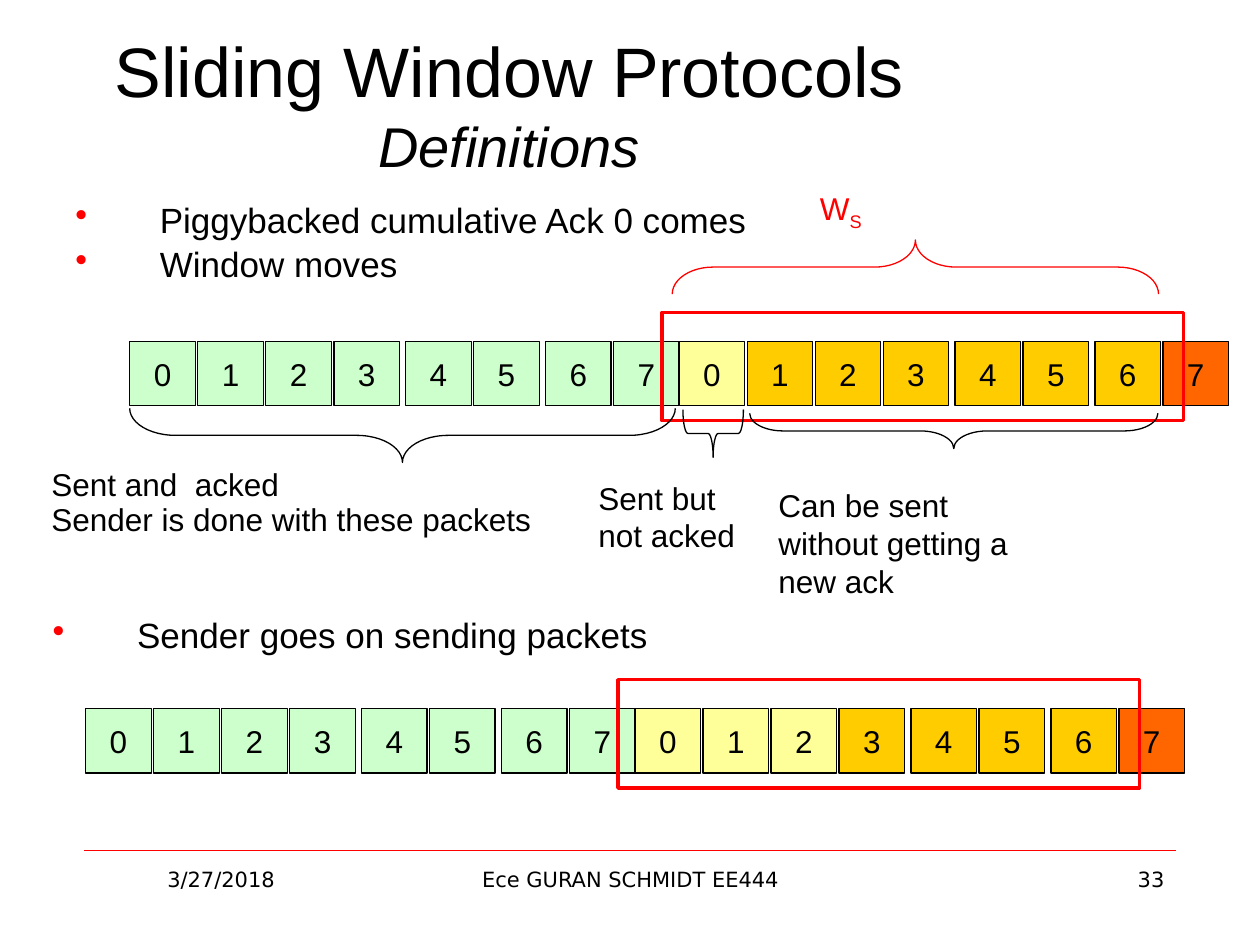
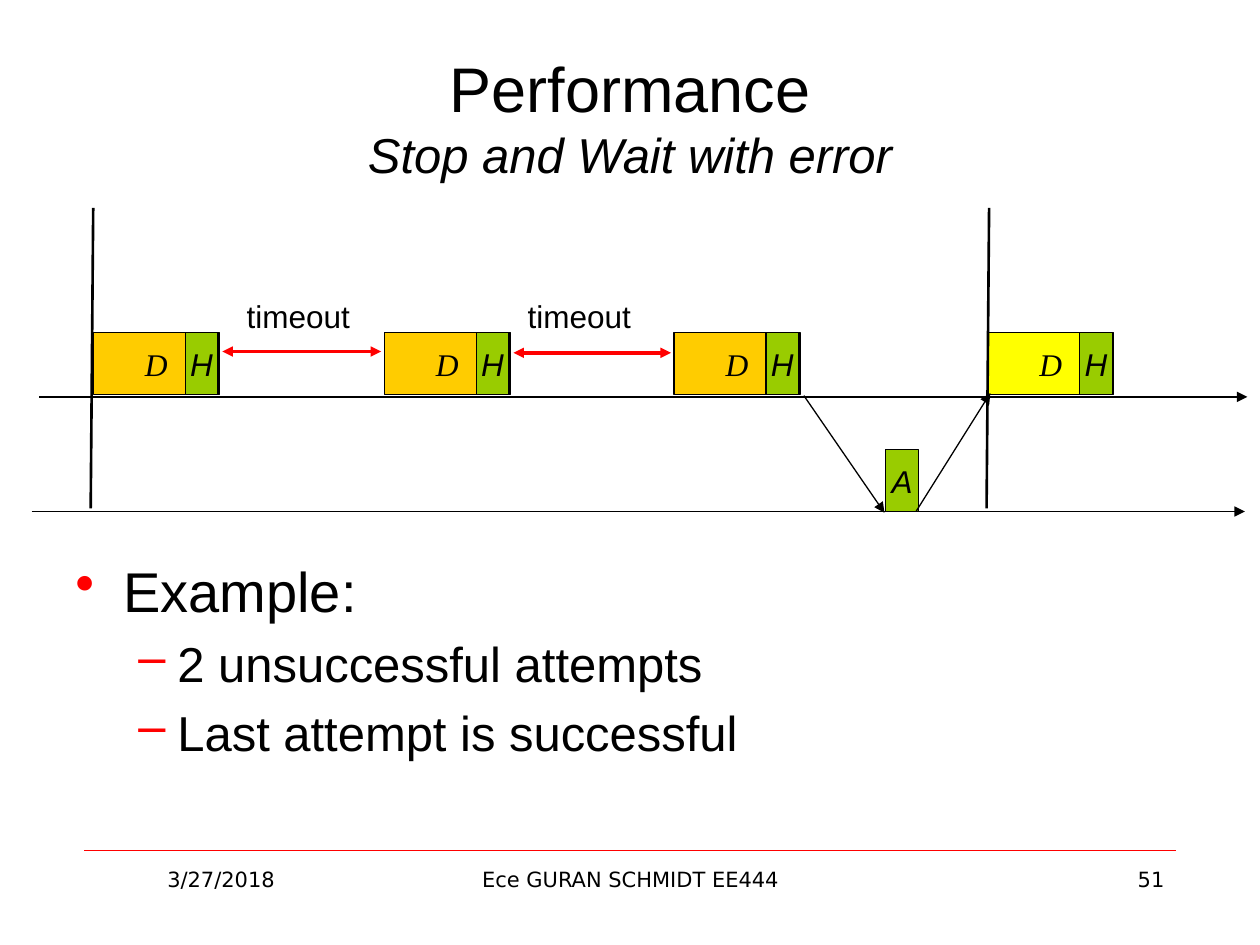
import collections
import pptx
import pptx.dml.color
import pptx.enum.shapes
import pptx.enum.text
import pptx.oxml.ns
import pptx.util
import lxml.etree

COLORS = {
    "ink": "000000", "accent": "FF0000",
    "acked": "CCFFCC", "unacked": "FFFF99", "ready": "FFCC00", "blocked": "FF6600",
    "data": "FFCC00", "next": "FFFF00", "header": "99CC00",
}
SANS, SERIF, FOOTER_FONT = "Arial", "Times New Roman", "DejaVu Sans"
ALIGN = pptx.enum.text.PP_ALIGN
ANCHOR = pptx.enum.text.MSO_ANCHOR
SHAPE = pptx.enum.shapes.MSO_SHAPE

# The slide is a grid of 100 columns by 75 rows with square cells.
SLIDE_WIDTH, SLIDE_HEIGHT = pptx.util.Inches(10), pptx.util.Inches(7.5)
COLUMN, ROW = SLIDE_WIDTH // 100, SLIDE_HEIGHT // 75

Box = collections.namedtuple("Box", "left top width height")


def inside(box, left, top, width=0, height=0):
    """Return a box whose corner is counted from the corner of another."""
    return Box(box.left + left, box.top + top, width, height)


def lengths(box):
    return [round(share * unit) for share, unit in zip(box, (COLUMN, ROW, COLUMN, ROW))]


def rgb(color):
    return pptx.dml.color.RGBColor.from_string(COLORS[color])


def add_xml(parent, tag, **attributes):
    name = pptx.oxml.ns.qn(tag)
    return lxml.etree.SubElement(parent, name, attributes)


def add_span(para, text, size, color="ink", font=SANS, italic=False):
    span = para.add_run()
    span.text = text
    span.font.size = pptx.util.Pt(size)
    span.font.name = font
    span.font.italic = italic
    span.font.color.rgb = rgb(color)
    return span


def add_text(page, box, lines, size, align=ALIGN.LEFT, before=0, spacing=None, **style):
    """Place one paragraph per line; before is a share of the text size."""
    frame = page.shapes.add_textbox(*lengths(box)).text_frame
    frame.word_wrap = True
    for number, line in enumerate(lines):
        para = frame.add_paragraph() if number else frame.paragraphs[0]
        para.alignment = align
        para.space_before = pptx.util.Pt(size * before)
        if spacing:
            para.line_spacing = spacing
        add_span(para, line, size, **style)
    return frame


def add_bullet(para, mark, margin, hanging):
    properties = para._p.get_or_add_pPr()
    properties.set("marL", str(round(margin * COLUMN)))
    properties.set("indent", str(round(-hanging * COLUMN)))
    add_xml(add_xml(properties, "a:buClr"), "a:srgbClr", val=COLORS["accent"])
    add_xml(properties, "a:buChar", char=mark)


def add_bullets(page, box, lines):
    frame = add_text(page, box, lines, 20, before=0.2, spacing=0.9)
    for para in frame.paragraphs:
        add_bullet(para, "•", 6.7, 6.7)


def add_outline(page, box, topic, points):
    frame = add_text(page, box, [topic], 32, before=0.2)
    add_bullet(frame.paragraphs[0], "•", 3.8, 3.8)
    for point in points:
        para = frame.add_paragraph()
        para.level = 1
        para.space_before = pptx.util.Pt(28 * 0.2)
        add_span(para, point, 28)
        add_bullet(para, "–", 8.1, 3.1)


def add_outlined(page, kind, box, fill=None, line="ink", weight=0.75):
    shape = page.shapes.add_shape(kind, *lengths(box))
    shape.shadow.inherit = False
    if fill:
        shape.fill.solid()
        shape.fill.fore_color.rgb = rgb(fill)
    else:
        shape.fill.background()
    shape.line.color.rgb = rgb(line)
    shape.line.width = pptx.util.Pt(weight)
    return shape


def add_cell(page, box, label, fill, **style):
    frame = add_outlined(page, SHAPE.RECTANGLE, box, fill).text_frame
    frame.word_wrap = False
    frame.vertical_anchor = ANCHOR.MIDDLE
    para = frame.paragraphs[0]
    para.alignment = ALIGN.CENTER
    add_span(para, label, 18, **style)


def add_line(page, box, start, end, color="ink", weight=0.75, arrows=()):
    """Join two points of a box; arrows names the ends that get a triangle."""
    (left, top), (right, bottom) = (
        lengths(inside(box, *point))[:2] for point in (start, end))
    line = page.shapes.add_connector(
        pptx.enum.shapes.MSO_CONNECTOR.STRAIGHT, left, top, right, bottom)
    line.line.color.rgb = rgb(color)
    line.line.width = pptx.util.Pt(weight)
    properties = line._element.spPr
    for arrow in arrows:
        add_xml(properties.get_or_add_ln(), f"a:{arrow}", type="triangle")
    add_xml(properties, "a:effectLst")


def add_brace(page, box, bend, turn, color="ink"):
    """Fill a wide box with a left brace turned on its side."""
    shift = (box.width - box.height) / 2
    upright = inside(box, shift, -shift, box.height, box.width)
    brace = add_outlined(page, SHAPE.LEFT_BRACE, upright, line=color)
    brace.adjustments[0] = bend
    brace.rotation = turn


def add_title(page, box, title, subtitle, size, anchor):
    frame = add_text(page, box, [title], size, ALIGN.CENTER)
    frame.vertical_anchor = anchor
    para = frame.paragraphs[0]
    para.add_line_break()
    add_span(para, subtitle, size - 8, italic=True)


def add_footer(page, box, number):
    add_line(page, box, (0, 0), (box.width, 0), "accent", 0.25)
    for left, width, text, align in (
        (0, 21.7, "3/27/2018", ALIGN.CENTER),
        (27.5, 31.7, "Ece GURAN SCHMIDT EE444", ALIGN.CENTER),
        (65, 21.7, number, ALIGN.RIGHT),
    ):
        add_text(page, inside(box, left, 0.8, width, 5.2), [text], 12, align,
                 font=FOOTER_FONT)


def add_packets(page, box, states):
    """Draw two rounds of packets 0 to 7 and the window that slides over them."""
    offsets = (0, 5.4, 10.8, 16.2, 21.9, 27.3, 33, 38.4)
    for index, state in enumerate(states):
        cycle, number = divmod(index, len(offsets))
        left = cycle * 43.6 + offsets[number]
        add_cell(page, inside(box, left, 0, 5.2, box.height), str(number), state)
    add_outlined(page, SHAPE.RECTANGLE, inside(box, 42.25, -2.3, 41.4, 8.6),
                 line="accent", weight=2)


def add_packet_notes(page, box):
    """Brace and name the groups of packets in the strip that fills the box."""
    for place, bend in (
        ((0, 5.3, 43.3, 4.3), 0.846),
        ((43.9, 5.4, 4.8, 3.8), 0.104),
        ((49.2, 5.7, 32.4, 2.8), 0.948),
    ):
        add_brace(page, inside(box, *place), bend, 270)
    add_brace(page, inside(box, 43.05, -8.05, 38.6, 4.3), 0.753, 90, "accent")

    add_text(page, inside(box, -7.2, 10.6, 43, 5.5),
             ["Sent and  acked", "Sender is done with these packets"],
             18, before=0.5, spacing=0.5)
    add_text(page, inside(box, 36.2, 10.4, 14.9, 7), ["Sent but not acked"], 18)
    add_text(page, inside(box, 50.5, 11, 23.6, 10),
             ["Can be sent without getting a new ack"], 18)
    window = add_text(page, inside(box, 53.8, -12.6, 23.6, 4), ["W"], 18, color="accent")
    subscript = add_span(window.paragraphs[0], "S", 18, "accent")
    subscript._r.get_or_add_rPr().set("baseline", "-25000")


def add_frame(page, box, fill):
    """Draw a data frame with its header at the right end."""
    add_cell(page, box, "D", fill, font=SERIF, italic=True)
    header = inside(box, 7.3, 0, 2.6, box.height)
    add_cell(page, header, "H", "header", italic=True)


def add_timing(page, box):
    """Draw sender and receiver time lines with two lost frames and one success."""
    forward = ("tailEnd",)
    add_line(page, box, (0.6, 15), (96.5, 15), arrows=forward)
    add_line(page, box, (0, 24.1), (96.3, 24.1), arrows=forward)

    attempts = (4.9, 28, 51)
    for left in attempts:
        add_frame(page, inside(box, left, 9.9, 10, 4.9), "data")
    add_frame(page, inside(box, 75.9, 9.9, 10, 4.9), "next")

    for left, following, label, level in zip(
            attempts, attempts[1:], (16.1, 38.4), (11.4, 11.5)):
        add_line(page, box, (left + 10.25, level), (following - 0.25, level),
                 "accent", 2, ("headEnd", "tailEnd"))
        add_text(page, inside(box, label, 6.6, 12.6, 4), ["timeout"], 18)

    add_line(page, box, (61.3, 14.9), (67.7, 24.2), arrows=forward)
    add_cell(page, inside(box, 67.8, 19.2, 2.6, 4.9), "A", "header", italic=True)
    add_line(page, box, (70.2, 24.1), (76.1, 14.7), arrows=forward)
    for left in (4.9, 76):
        add_line(page, box, (left, 0), (left - 0.2, 23.85), weight=1.5)


def add_page(deck, number):
    page = deck.slides.add_slide(deck.slide_layouts[6])
    add_footer(page, Box(6.7, 67.5, 86.6, 6), number)
    return page


def build_definitions(deck):
    page = add_page(deck, "33")
    add_title(page, Box(4.6, 4.7, 71.6, 10), "Sliding Window Protocols", "Definitions",
              40, ANCHOR.BOTTOM)
    add_bullets(page, Box(5, 15.6, 90, 12.8),
                ["Piggybacked cumulative Ack 0 comes", "Window moves"])
    before_sending = Box(10.3, 27.1, 87.2, 5.1)
    add_packets(page, before_sending,
                ["acked"] * 8 + ["unacked"] + ["ready"] * 6 + ["blocked"])
    add_packet_notes(page, before_sending)
    add_bullets(page, Box(3.2, 48.6, 90, 5), ["Sender goes on sending packets"])
    add_packets(page, Box(6.8, 56.25, 87.2, 5.1),
                ["acked"] * 8 + ["unacked"] * 3 + ["ready"] * 4 + ["blocked"])


def build_performance(deck):
    page = add_page(deck, "51")
    add_title(page, Box(5, 3, 90, 12.5), "Performance", "Stop and Wait with error",
              36, ANCHOR.MIDDLE)
    add_outline(page, Box(5, 43.7, 90, 23.3), "Example:",
                ["2 unsuccessful attempts", "Last attempt is successful"])
    add_timing(page, Box(2.5, 16.5, 96.5, 24.2))


def main():
    deck = pptx.Presentation()
    deck.slide_width, deck.slide_height = SLIDE_WIDTH, SLIDE_HEIGHT
    build_definitions(deck)
    build_performance(deck)
    deck.save("out.pptx")


if __name__ == "__main__":
    main()
